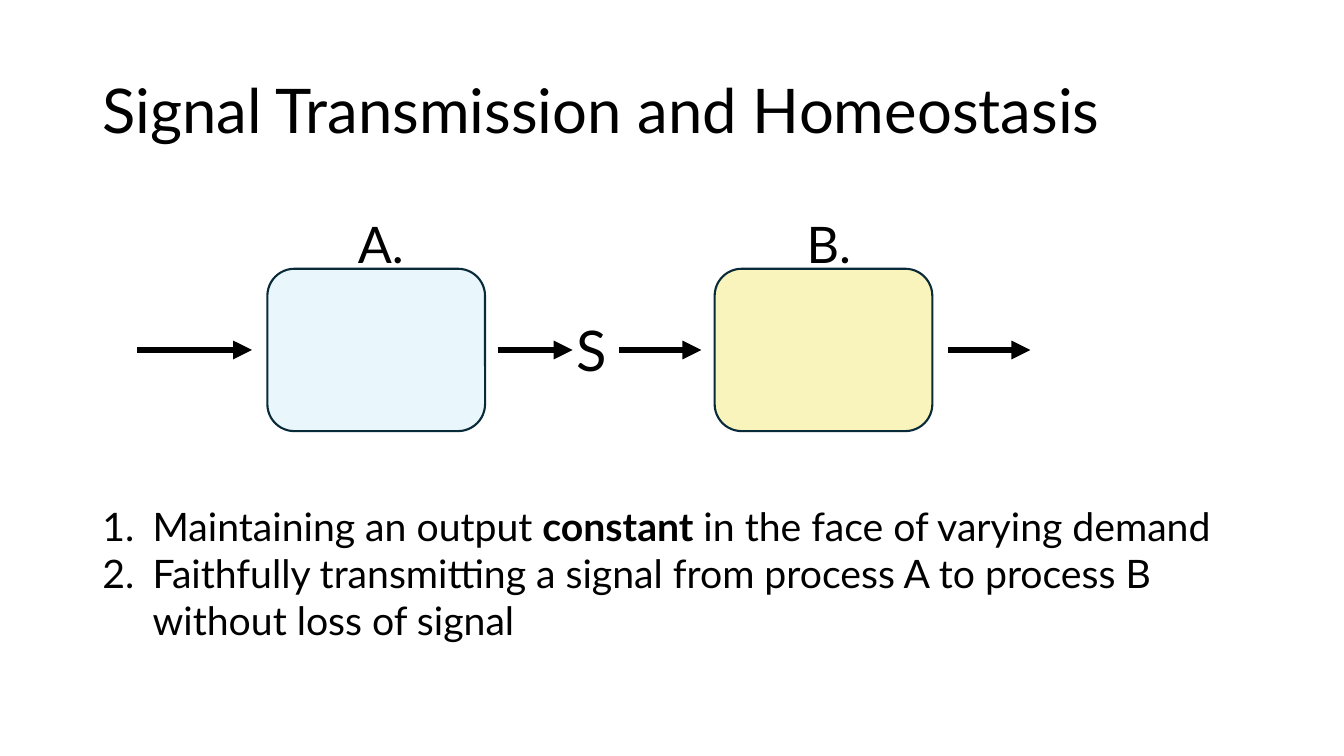
from dataclasses import dataclass

from lxml.etree import SubElement
from pptx import Presentation
from pptx.dml.color import RGBColor
from pptx.enum.shapes import MSO_CONNECTOR, MSO_SHAPE
from pptx.enum.text import MSO_ANCHOR, MSO_AUTO_SIZE, PP_ALIGN
from pptx.oxml.ns import qn
from pptx.util import Pt


@dataclass(frozen=True)
class Theme:
    font: str = "Lato"
    ink: RGBColor = RGBColor(0x00, 0x00, 0x00)
    outline: RGBColor = RGBColor(0x09, 0x2A, 0x39)
    process_a: RGBColor = RGBColor(0x81, 0xCA, 0xEB)
    process_b: RGBColor = RGBColor(0xEA, 0xDA, 0x08)
    title_size: int = 44
    signal_size: int = 40
    label_size: int = 36
    list_size: int = 28


THEME = Theme()
PROCESS_TOP, PROCESS_WIDTH, PROCESS_HEIGHT = 192, 155.5, 116
FLOW_Y = 250
PROCESSES = [
    # label, label left, box left, colour, opacity in percent
    ("A.", 248.5, 191, THEME.process_a, 17),
    ("B.", 569, 510.5, THEME.process_b, 27),
]
ARROWS = [(98, 180), (355.5, 409), (442, 501), (677, 736)]
POINTS = [
    [("Maintaining an output ", False), ("constant", True),
     (" in the face of varying demand", False)],
    [("Faithfully transmitting a signal from process A to process B "
      "without loss of signal", False)],
]


def style_run(run, size, bold=False):
    run.font.name = THEME.font
    run.font.size = Pt(size)
    run.font.bold = bold
    run.font.color.rgb = THEME.ink


def set_title(slide, text):
    title = slide.shapes.title
    title.left, title.top, title.width, title.height = Pt(66), Pt(29), Pt(828), Pt(104)
    frame = title.text_frame
    frame.text = text
    frame.auto_size = MSO_AUTO_SIZE.NONE
    frame.vertical_anchor = MSO_ANCHOR.MIDDLE
    heading = frame.paragraphs[0]
    heading.alignment = PP_ALIGN.LEFT
    heading.line_spacing = 0.9
    style_run(heading.runs[0], THEME.title_size)


def add_text_frame(slide, left, top, width, height):
    frame = slide.shapes.add_textbox(Pt(left), Pt(top), Pt(width), Pt(height)).text_frame
    frame.word_wrap = True
    return frame


def add_label(slide, text, left, top, width, height, size):
    frame = add_text_frame(slide, left, top, width, height)
    frame.text = text
    style_run(frame.paragraphs[0].runs[0], size)


def add_process(slide, left, colour, opacity):
    process = slide.shapes.add_shape(
        MSO_SHAPE.ROUNDED_RECTANGLE,
        Pt(left), Pt(PROCESS_TOP), Pt(PROCESS_WIDTH), Pt(PROCESS_HEIGHT))
    process.shadow.inherit = False
    process.fill.solid()
    process.fill.fore_color.rgb = colour
    tint = process.element.spPr.find(qn("a:solidFill")).find(qn("a:srgbClr"))
    SubElement(tint, qn("a:alpha"), val=str(opacity * 1000))
    process.line.color.rgb = THEME.outline
    process.line.width = Pt(1.5)


def add_flow_arrow(slide, start, end):
    arrow = slide.shapes.add_connector(
        MSO_CONNECTOR.STRAIGHT, Pt(start), Pt(FLOW_Y), Pt(end), Pt(FLOW_Y))
    arrow.line.color.rgb = THEME.ink
    arrow.line.width = Pt(4.5)
    properties = arrow.element.spPr
    SubElement(properties.find(qn("a:ln")), qn("a:tailEnd"), type="triangle")
    SubElement(properties, qn("a:effectLst"))


def add_numbered_list(slide, points, left, top, width, height):
    frame = add_text_frame(slide, left, top, width, height)
    for index, point in enumerate(points):
        paragraph = frame.add_paragraph() if index else frame.paragraphs[0]
        layout = paragraph._p.get_or_add_pPr()
        layout.set("marL", str(Pt(36)))
        layout.set("indent", str(-Pt(36)))
        SubElement(layout, qn("a:buFont"), typeface=THEME.font)
        SubElement(layout, qn("a:buAutoNum"), type="arabicPeriod")
        for text, bold in point:
            run = paragraph.add_run()
            run.text = text
            style_run(run, THEME.list_size, bold)


def main():
    deck = Presentation()
    deck.slide_width, deck.slide_height = Pt(960), Pt(540)
    slide = deck.slides.add_slide(deck.slide_layouts.get_by_name("Title Only"))

    set_title(slide, "Signal Transmission and Homeostasis")
    for label, label_left, left, colour, opacity in PROCESSES:
        add_process(slide, left, colour, opacity)
        add_label(slide, label, label_left, 148.5, 73, 51, THEME.label_size)
    for start, end in ARROWS:
        add_flow_arrow(slide, start, end)
    add_label(slide, "S", 405, 222, 36, 55.5, THEME.signal_size)
    add_numbered_list(slide, POINTS, 66, 355, 835, 109)

    deck.save("out.pptx")


if __name__ == "__main__":
    main()
